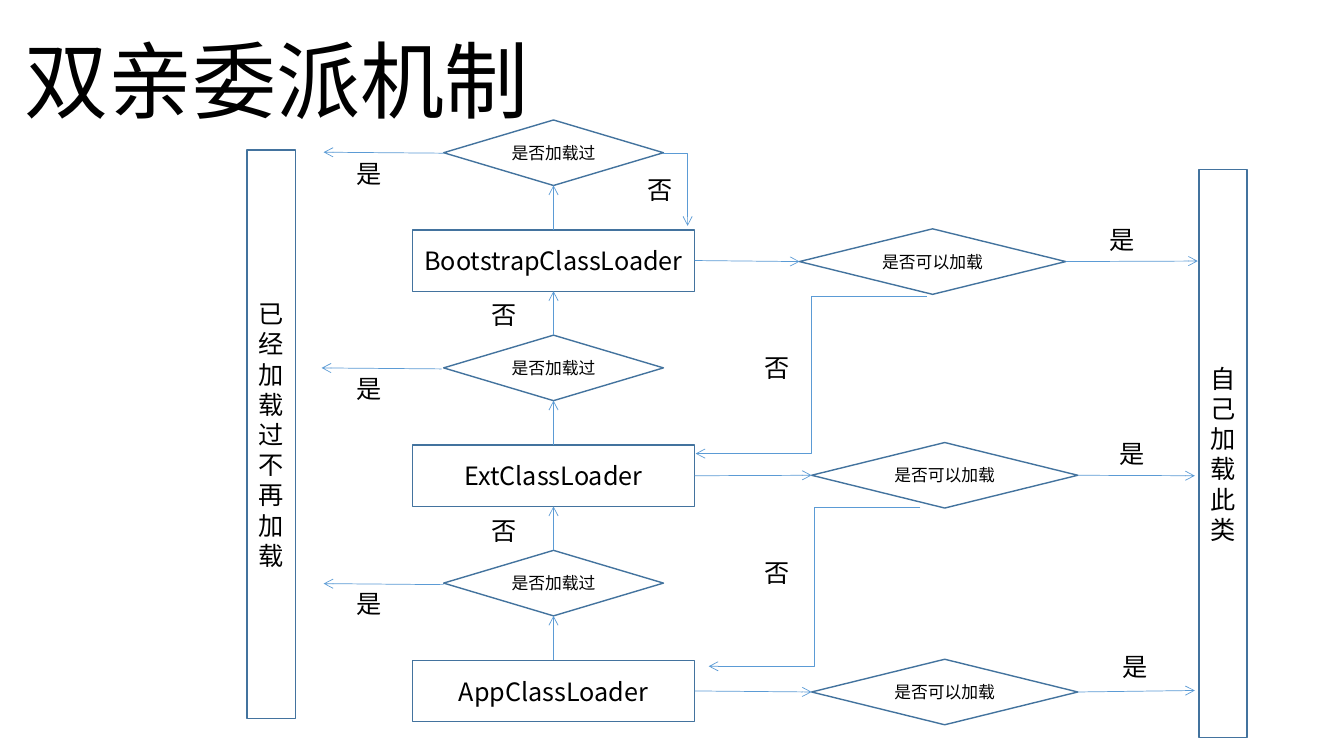
"""Builds a flowchart slide of the parent delegation model for class loaders."""
import dataclasses
import typing

import pptx
import pptx.dml.color
import pptx.enum.shapes
import pptx.enum.text
import pptx.oxml
import pptx.oxml.ns
import pptx.util

Inches = pptx.util.Inches
Shapes = pptx.enum.shapes.MSO_SHAPE
Connectors = pptx.enum.shapes.MSO_CONNECTOR
Anchor = pptx.enum.text.MSO_ANCHOR
Align = pptx.enum.text.PP_ALIGN
AutoSize = pptx.enum.text.MSO_AUTO_SIZE

COLORS = {"text": "000000", "outline": "43739E", "arrow": "5B9BD5"}
FONT = "Noto Sans CJK SC"
TOP, LEFT, BOTTOM, RIGHT = range(4)
ROW_STEP = 2.135
LOADER_TOP, LOADED_TOP = 2.28, 1.19
Point = tuple[float, float]


@dataclasses.dataclass
class Node:
    """A flowchart shape with its caption."""
    text: str
    left: float
    top: float
    width: float
    height: float
    kind: Shapes = Shapes.RECTANGLE
    size: int = 18


@dataclasses.dataclass
class Loader:
    """A class loader, its loading check and the arrow to the result bar."""
    name: str
    check: Point
    yes_label: Point
    arrow_end: Point
    loaded_arrow: tuple[Point, Point]


@dataclasses.dataclass
class Elbow:
    """A bent arrow for the answer no, with its label position."""
    start: Point
    end: Point
    label: Point
    preset: str = "bentConnector3"


LOADERS = [
    Loader("BootstrapClassLoader", (7.93, 2.27), (10.91, 2.18), (11.88, 2.59),
           ((4.4, 1.52), (3.21, 1.51))),
    Loader("ExtClassLoader", (8.05, 4.39), (11, 4.3), (11.85, 4.72),
           ((4.38, 3.66), (3.19, 3.65))),
    Loader("AppClassLoader", (8.05, 6.54), (11.03, 6.41), (11.85, 6.85),
           ((4.4, 5.8), (3.21, 5.79))),
]
BARS = [
    Node("已经加载过不再加载", 2.45, 1.49, 0.48, 5.64),
    Node("自己加载此类", 11.89, 1.68, 0.48, 5.64),
]
ELBOWS = [
    Elbow((6.58, 1.52), (6.82, 2.24), (6.32, 1.68), "bentConnector2"),
    Elbow((9.19, 2.94), (6.9, 4.5), (7.48, 3.45)),
    Elbow((9.13, 5.03), (7.03, 6.61), (7.48, 5.48)),
]


def apply(target: typing.Any, values: dict[str, typing.Any]) -> None:
    """Set every attribute named in the format values."""
    for name, value in values.items():
        setattr(target, name, value)


def color(name: str) -> pptx.dml.color.RGBColor:
    """Return the named colour."""
    return pptx.dml.color.RGBColor.from_string(COLORS[name])


def write(shape: typing.Any, text: str, size: int, font: str = FONT,
          frame: dict | None = None, paragraph: dict | None = None) -> None:
    """Put one formatted paragraph into a shape."""
    apply(shape.text_frame, frame or {})
    line = shape.text_frame.paragraphs[0]
    apply(line, paragraph or {})
    run = line.add_run()
    run.text = text
    apply(run.font, {"size": pptx.util.Pt(size), "name": font})
    run.font.color.rgb = color("text")
    east_asian = pptx.oxml.parse_xml(
        f'<a:ea {pptx.oxml.ns.nsdecls("a")} typeface="{FONT}"/>')
    run.font._element.append(east_asian)


def draw_node(slide: typing.Any, node: Node) -> typing.Any:
    """Draw an outlined flowchart shape."""
    bounds = map(Inches, (node.left, node.top, node.width, node.height))
    shape = slide.shapes.add_shape(node.kind, *bounds)
    shape.shadow.inherit = False
    shape.fill.background()
    shape.line.color.rgb = color("outline")
    shape.line.width = pptx.util.Pt(1)
    write(shape, node.text, node.size,
          frame={"word_wrap": True, "vertical_anchor": Anchor.MIDDLE},
          paragraph={"alignment": Align.CENTER})
    return shape


def draw_label(slide: typing.Any, text: str, position: Point) -> None:
    """Draw the answer beside an arrow."""
    box = slide.shapes.add_textbox(*map(Inches, (*position, 0.45, 0.4)))
    write(box, text, 18,
          frame={"word_wrap": False, "auto_size": AutoSize.SHAPE_TO_FIT_TEXT})


def draw_arrow(slide: typing.Any, start: Point, end: Point,
               kind: Connectors = Connectors.STRAIGHT) -> typing.Any:
    """Draw a thin arrow between two points."""
    arrow = slide.shapes.add_connector(kind, *map(Inches, (*start, *end)))
    arrow.line.color.rgb = color("arrow")
    arrow.line.width = pptx.util.Pt(0.5)
    namespace = pptx.oxml.ns.nsdecls("a")
    arrow.line._get_or_add_ln().append(
        pptx.oxml.parse_xml(f'<a:tailEnd {namespace} type="arrow"/>'))
    arrow._element.spPr.append(
        pptx.oxml.parse_xml(f"<a:effectLst {namespace}/>"))
    return arrow


def link(slide: typing.Any, source: typing.Any, source_side: int,
         target: typing.Any, target_side: int) -> None:
    """Join two shapes with an attached arrow."""
    arrow = draw_arrow(slide, (0, 0), (1, 1))
    arrow.begin_connect(source, source_side)
    arrow.end_connect(target, target_side)


def draw_loaders(slide: typing.Any) -> None:
    """Draw each loader with its two checks and their arrows."""
    upper_loader = None
    for row, loader in enumerate(LOADERS):
        offset = row * ROW_STEP
        box = draw_node(slide, Node(
            loader.name, 4.09, LOADER_TOP + offset, 2.8, 0.61))
        loaded = draw_node(slide, Node(
            "是否加载过", 4.4, LOADED_TOP + offset, 2.18, 0.65,
            Shapes.DIAMOND, 12))
        check = draw_node(slide, Node(
            "是否可以加载", *loader.check, 2.64, 0.65, Shapes.DIAMOND, 12))
        link(slide, box, TOP, loaded, BOTTOM)
        link(slide, box, RIGHT, check, LEFT)
        if upper_loader is not None:
            link(slide, loaded, TOP, upper_loader, BOTTOM)
            draw_label(slide, "否", (4.78, 0.79 + offset))
        draw_arrow(slide, *loader.loaded_arrow)
        draw_label(slide, "是", (3.44, 1.52 + offset))
        draw_arrow(slide, (0, 0), loader.arrow_end).begin_connect(check, RIGHT)
        draw_label(slide, "是", loader.yes_label)
        upper_loader = box


def main() -> None:
    """Build and save the presentation."""
    presentation = pptx.Presentation()
    apply(presentation, {"slide_width": Inches(13.33),
                         "slide_height": Inches(7.5)})
    slide = presentation.slides.add_slide(presentation.slide_layouts[0])
    subtitle = slide.placeholders[1]._element
    subtitle.getparent().remove(subtitle)
    title = slide.shapes.title
    apply(title, {"left": Inches(0), "top": Inches(0),
                  "width": Inches(5.48), "height": Inches(1.35)})
    write(title, "双亲委派机制", 60, "Calibri",
          frame={"vertical_anchor": Anchor.BOTTOM, "word_wrap": True,
                 "auto_size": AutoSize.NONE},
          paragraph={"alignment": Align.CENTER, "line_spacing": 0.9})
    for bar in BARS:
        draw_node(slide, bar)
    draw_loaders(slide)
    for elbow in ELBOWS:
        arrow = draw_arrow(slide, elbow.start, elbow.end, Connectors.ELBOW)
        arrow._element.spPr.prstGeom.set("prst", elbow.preset)
        draw_label(slide, "否", elbow.label)
    presentation.save("out.pptx")


if __name__ == "__main__":
    main()
